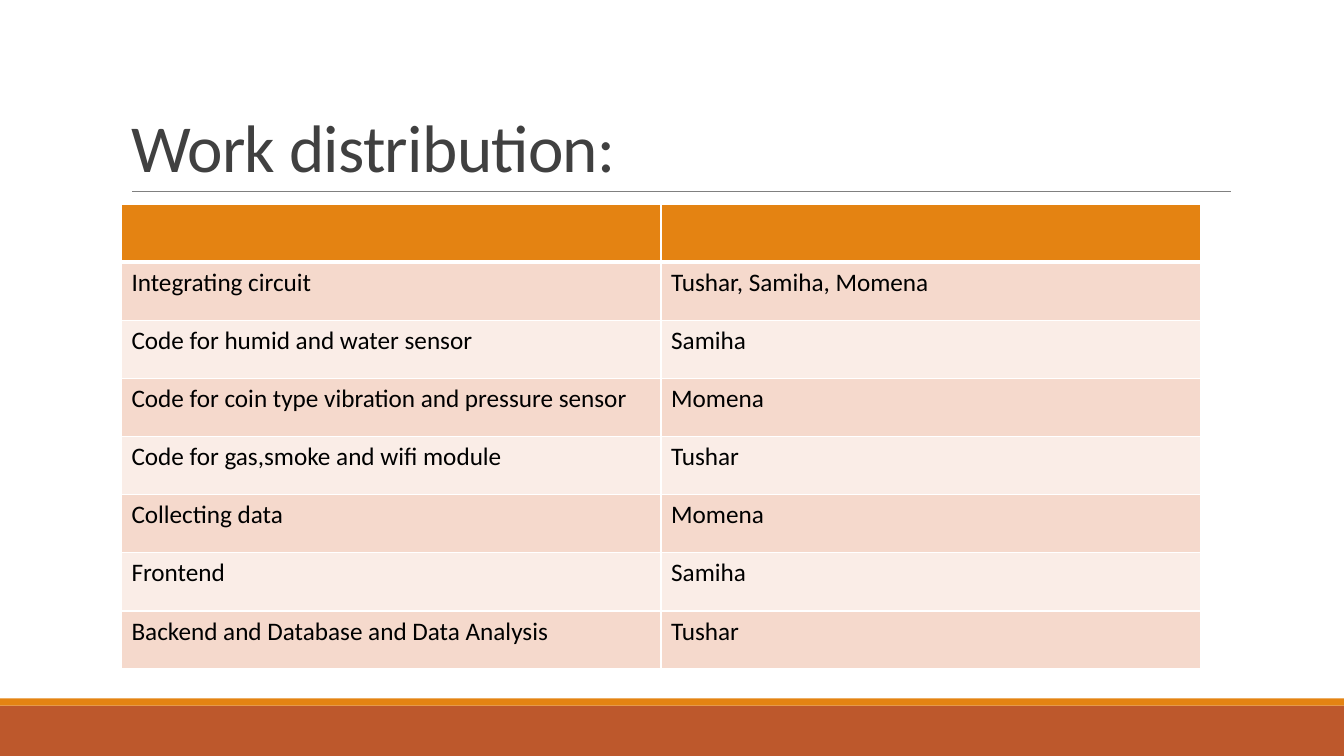
import lxml.etree
import pptx
import pptx.dml.color
import pptx.enum.shapes
import pptx.enum.text
import pptx.oxml
import pptx.oxml.ns
import pptx.util

Cm = pptx.util.Cm
Pt = pptx.util.Pt
RGBColor = pptx.dml.color.RGBColor
qn = pptx.oxml.ns.qn

WHITE = RGBColor(0xFF, 0xFF, 0xFF)
BLACK = RGBColor(0, 0, 0)
CHARCOAL = RGBColor(0x40, 0x40, 0x40)
GREY = RGBColor(0x80, 0x80, 0x80)
RUST = RGBColor(0xBD, 0x58, 0x2C)
ORANGE = RGBColor(0xE4, 0x83, 0x12)
PEACH = RGBColor(0xF5, 0xD9, 0xCC)
PALE_PEACH = RGBColor(0xFA, 0xED, 0xE7)
FONT = "Calibri"
TITLE_ONLY = 5

ASSIGNMENTS = [
    ("", ""),
    ("Integrating circuit", "Tushar, Samiha, Momena"),
    ("Code for humid and water sensor", "Samiha"),
    ("Code for coin type vibration and pressure sensor", "Momena"),
    ("Code for gas,smoke and wifi module", "Tushar"),
    ("Collecting data", "Momena"),
    ("Frontend", "Samiha"),
    ("Backend and Database and Data Analysis", "Tushar"),
]


def write_text(frame, text, *, size, color, line_spacing=None, align=None, tracking=None):
    """Fill a text frame with one formatted paragraph."""
    paragraph = frame.paragraphs[0]
    paragraph.line_spacing = line_spacing
    paragraph.alignment = align
    run = paragraph.add_run()
    run.text = text
    run.font.name = FONT
    run.font.size = Pt(size)
    run.font.color.rgb = color
    if tracking is not None:
        run.font._element.set("spc", str(round(tracking * 100)))


def add_band(slide, left, top, width, height, color):
    """Draw a plain coloured band in the given box."""
    band = slide.shapes.add_shape(
        pptx.enum.shapes.MSO_SHAPE.RECTANGLE, left, top, width, height)
    band.shadow.inherit = False
    band.fill.solid()
    band.fill.fore_color.rgb = color
    band.line.fill.background()


def add_footer(slide, left, top, width, height):
    """Draw the two-tone strip, its thin accent along the top edge."""
    accent = Cm(0.18)
    add_band(slide, left, top + accent, width, height - accent, RUST)
    add_band(slide, left, top, width, accent, ORANGE)


def add_heading(slide, left, top, width, height, text):
    """Place the title in its box with a rule under it."""
    inset = Cm(0.28)
    baseline = top + height
    rule = slide.shapes.add_connector(
        pptx.enum.shapes.MSO_CONNECTOR.STRAIGHT,
        left + inset, baseline, left + width + Cm(0.02), baseline)
    rule.line.color.rgb = GREY
    rule.line.width = Pt(0.5)
    lxml.etree.SubElement(rule._element.spPr, qn("a:effectLst"))

    title = slide.shapes.title
    title.left, title.top, title.width, title.height = left, top, width, height
    frame = title.text_frame
    frame.word_wrap = True
    frame.auto_size = pptx.enum.text.MSO_AUTO_SIZE.NONE
    frame.vertical_anchor = pptx.enum.text.MSO_ANCHOR.BOTTOM
    write_text(frame, text, size=48, color=CHARCOAL, line_spacing=0.85,
               align=pptx.enum.text.PP_ALIGN.LEFT, tracking=-0.5)


def set_borders(cell, **widths):
    """Give a cell white borders, with widths in points keyed by side."""
    properties = cell._tc.get_or_add_tcPr()
    for side in "LRTB":
        border = lxml.etree.SubElement(
            properties, qn(f"a:ln{side}"), w=str(Pt(widths.get(side, 1))))
        fill = lxml.etree.SubElement(border, qn("a:solidFill"))
        lxml.etree.SubElement(fill, qn("a:srgbClr"), val=str(WHITE))


def add_assignments(slide, left, top, width, height, rows):
    """Lay out tasks and people as a banded table in the given box."""
    table = slide.shapes.add_table(
        len(rows), len(rows[0]), left, top, width, height).table
    for row_index, row in enumerate(rows):
        if row_index == 0:
            color, borders = ORANGE, {"B": 3}
        else:
            color = PEACH if row_index % 2 else PALE_PEACH
            borders = {"T": 3} if row_index == 1 else {}
        for column_index, text in enumerate(row):
            cell = table.cell(row_index, column_index)
            set_borders(cell, **borders)
            cell.fill.solid()
            cell.fill.fore_color.rgb = color
            if text:
                write_text(cell.text_frame, text, size=18, color=BLACK)


def main():
    """Build and save the work distribution slide."""
    deck = pptx.Presentation()
    deck.slide_width, deck.slide_height = Cm(33.87), Cm(19.05)
    slide = deck.slides.add_slide(deck.slide_layouts[TITLE_ONLY])
    footer_top = Cm(17.6)
    add_footer(slide, 0, footer_top, deck.slide_width, deck.slide_height - footer_top)
    add_heading(slide, Cm(3.05), Cm(0.79), Cm(27.94), Cm(4.04), "Work distribution:")
    add_assignments(slide, Cm(3.06), Cm(5.14), Cm(27.2), Cm(11.72), ASSIGNMENTS)
    deck.save("out.pptx")


if __name__ == "__main__":
    main()
